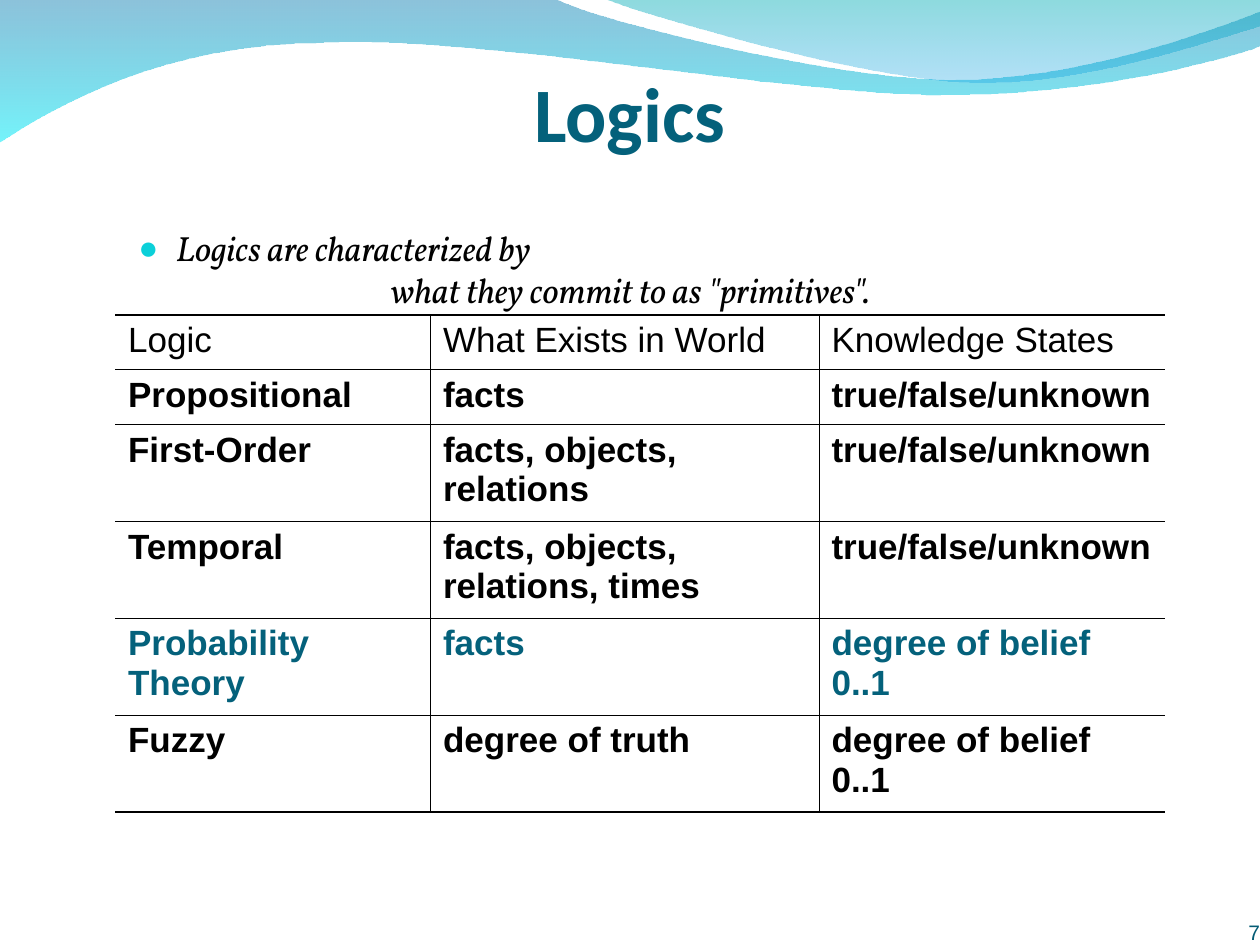
from lxml import etree
from pptx import Presentation
from pptx.dml.color import RGBColor
from pptx.enum.text import MSO_ANCHOR as Anchor, PP_ALIGN as Align
from pptx.oxml.ns import qn
from pptx.util import Inches, Pt

TEAL, BLACK = "04617B", "000000"


def color(code):
    return RGBColor.from_string(code)


def write(frame, text, font="Arial", size=20, hue=BLACK, bold=False,
          italic=False, align=Align.LEFT, anchor=Anchor.TOP, inset=None):
    """Fill a text frame with one paragraph; inset is left, top, right, bottom."""
    frame.word_wrap = True
    frame.vertical_anchor = anchor
    if inset:
        (frame.margin_left, frame.margin_top,
         frame.margin_right, frame.margin_bottom) = map(Inches, inset)
    para = frame.paragraphs[0]
    para.text = text
    para.alignment = align
    for run in para.runs:
        face = run.font
        face.name, face.size = font, Pt(size)
        face.bold, face.italic = bold, italic
        face.color.rgb = color(hue)
    return para


prs = Presentation()
prs.slide_width, prs.slide_height = Inches(10), Inches(7.5)
slide = prs.slides.add_slide(prs.slide_layouts[6])
shapes = slide.shapes

# Waves: a pair is a straight step, six numbers are a Bezier curve
waves = [
    ([(0, -0.01), (4.4, -0.01), (4.76, 0.17, 6.64, 0.63, 7.58, 0.63),
      (8.53, 0.63, 9.58, 0.26, 10, 0.09), (10.01, 0.36),
      (9.83, 0.44, 8.7, 0.76, 7.46, 0.75),
      (6.22, 0.75, 3.82, 0.28, 2.57, 0.34),
      (1.29, 0.35, 0.46, 0.83, -0.01, 1.13), (0, -0.01)],
     [("0079AF", 45), ("00EBF8", 55)]),
    ([(4.79, -0.01), (5.09, 0.11, 6.82, 0.62, 7.69, 0.65),
      (8.56, 0.69, 9.61, 0.32, 10, 0.21), (10, 0), (4.79, -0.01)],
     [("00ADB6", 45), ("009BE5", 30)]),
]
for path, stops in waves:
    start, *steps = path
    pen = shapes.build_freeform(Inches(start[0]), Inches(start[1]))
    for step in steps:
        spots = [Inches(n) for n in step]
        pen.add_line_segments(list(zip(spots[::2], spots[1::2])), close=False)
    wave = pen.convert_to_shape()

    # Join the three lines of each curve into one Bezier segment
    lines = iter(list(wave._element.iter(qn("a:lnTo"))))
    for step in steps:
        first = next(lines)
        if len(step) == 6:
            first.tag = qn("a:cubicBezTo")
            for line in (next(lines), next(lines)):
                first.append(line[0])
                line.getparent().remove(line)
    outline = next(wave._element.iter(qn("a:path")))
    etree.SubElement(outline, qn("a:close"))

    wave.shadow.inherit = False
    wave.line.fill.background()
    wave.fill.gradient()
    wave.fill.gradient_angle = 270
    for stop, place, (hue, alpha) in zip(wave.fill.gradient_stops, (0, 1), stops):
        stop.position = place
        stop.color.rgb = color(hue)
    tints = wave.fill._xPr.iter(qn("a:srgbClr"))
    for tint, (hue, alpha) in zip(tints, stops):
        etree.SubElement(tint, qn("a:alpha"), val=str(alpha * 1000))

title = shapes.add_textbox(Inches(0.5), Inches(0), Inches(9), Inches(1.25))
write(title.text_frame, "Logics", font="Calibri", size=44, hue=TEAL, bold=True,
      align=Align.CENTER, anchor=Anchor.BOTTOM, inset=(0, 0.05, 0, 0))

body = shapes.add_textbox(Inches(1), Inches(1.75), Inches(8.5), Inches(1.05))
para = write(body.text_frame,
             'Logics are characterized by\v\t\twhat they commit to as "primitives".',
             font="Vollkorn", italic=True)
props = para._p.get_or_add_pPr()
props.set("marL", str(Inches(0.3)))
props.set("indent", str(Inches(-0.3)))
tone = etree.SubElement(props, qn("a:buClr"))
etree.SubElement(tone, qn("a:srgbClr"), val="0BD0D9")
etree.SubElement(props, qn("a:buSzPct"), val="95000")
etree.SubElement(props, qn("a:buFont"), typeface="Arial")
etree.SubElement(props, qn("a:buChar"), char="●")
tabs = etree.SubElement(props, qn("a:tabLst"))
for inch in range(1, 9):
    etree.SubElement(tabs, qn("a:tab"), pos=str(Inches(inch)), algn="l")

number = shapes.add_textbox(Inches(9.17), Inches(7.1), Inches(0.83), Inches(0.4))
write(number.text_frame, "7", size=12, hue="045C75", align=Align.RIGHT,
      anchor=Anchor.BOTTOM, inset=(0, 0, 0, 0))

rows = [
    ("Logic", "What Exists in World", "Knowledge States"),
    ("Propositional", "facts", "true/false/unknown"),
    ("First-Order", "facts, objects, relations", "true/false/unknown"),
    ("Temporal", "facts, objects, relations, times", "true/false/unknown"),
    ("Probability Theory", "facts", "degree of belief 0..1"),
    ("Fuzzy", "degree of truth", "degree of belief 0..1"),
]
widths = (2.5, 37 / 12, 2.75)
heights = (0.43, 0.43, 0.77, 0.76, 0.77, 0.77)
last, edge = len(rows) - 1, len(widths) - 1
table = shapes.add_table(len(rows), len(widths), Inches(11 / 12), Inches(2.5),
                         Inches(sum(widths)), Inches(sum(heights))).table
table.first_row = table.horz_banding = False
for col, width in zip(table.columns, widths):
    col.width = Inches(width)
for r, (row, height) in enumerate(zip(rows, heights)):
    table.rows[r].height = Inches(height)
    for c, text in enumerate(row):
        cell = table.cell(r, c)
        write(cell.text_frame, text, bold=r > 0,
              hue=TEAL if row[0] == "Probability Theory" else BLACK)
        cell.margin_left = cell.margin_right = Inches(0.1)
        cell.margin_top = cell.margin_bottom = Inches(0.05)
        cell.vertical_anchor = Anchor.TOP
        props = cell._tc.get_or_add_tcPr()
        sides = {"lnL": 0.45 if c > 0 else 0,
                 "lnR": 0.45 if c < edge else 0,
                 "lnT": 1.08 if r == 0 else 0.45,
                 "lnB": 1.08 if r == last else 0.45}
        for side, points in sides.items():
            line = etree.SubElement(props, qn("a:" + side), w=str(Pt(points)))
            if points:
                fill = etree.SubElement(line, qn("a:solidFill"))
                etree.SubElement(fill, qn("a:srgbClr"), val=BLACK)
            else:
                etree.SubElement(line, qn("a:noFill"))
        cell.fill.background()

prs.save("out.pptx")
